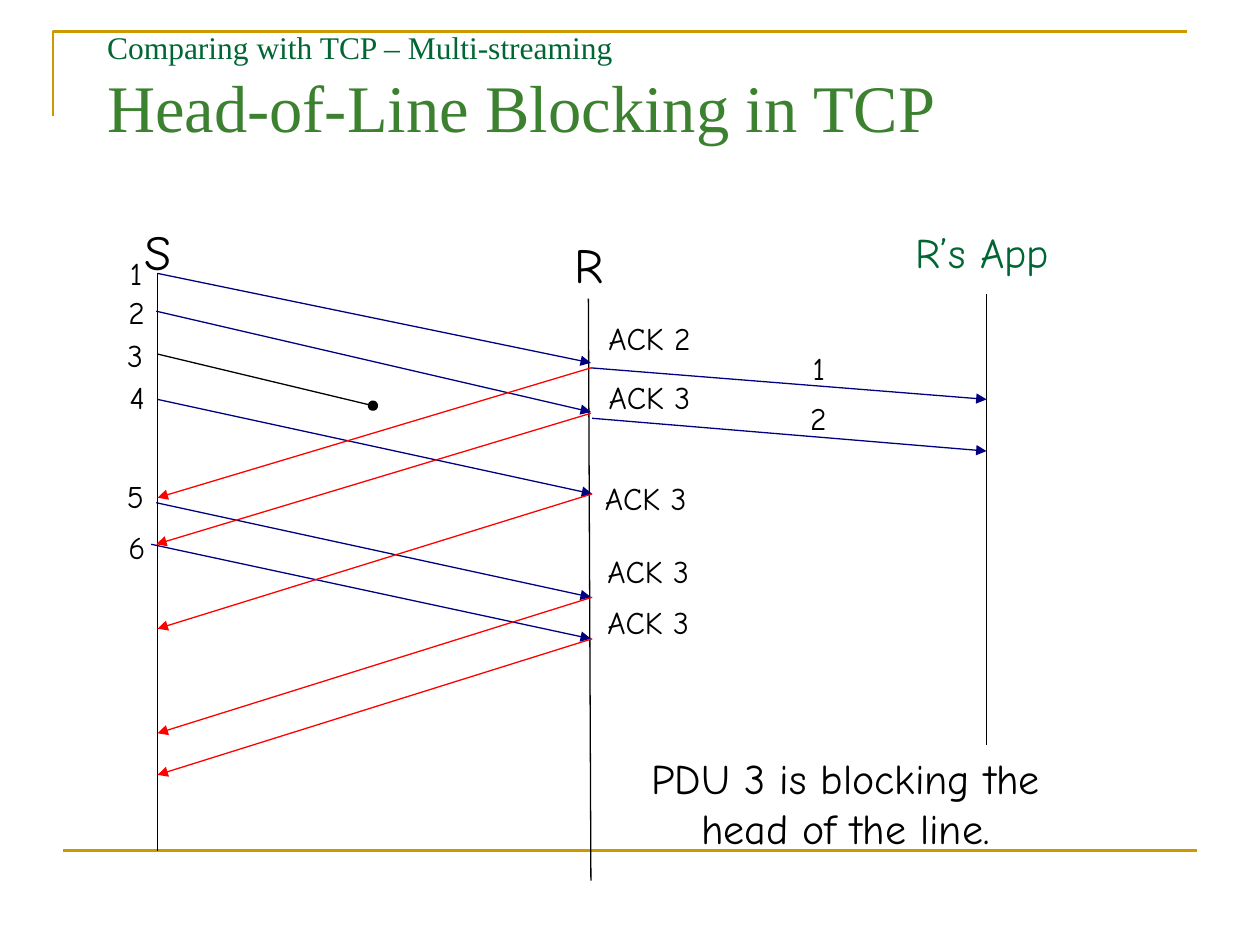
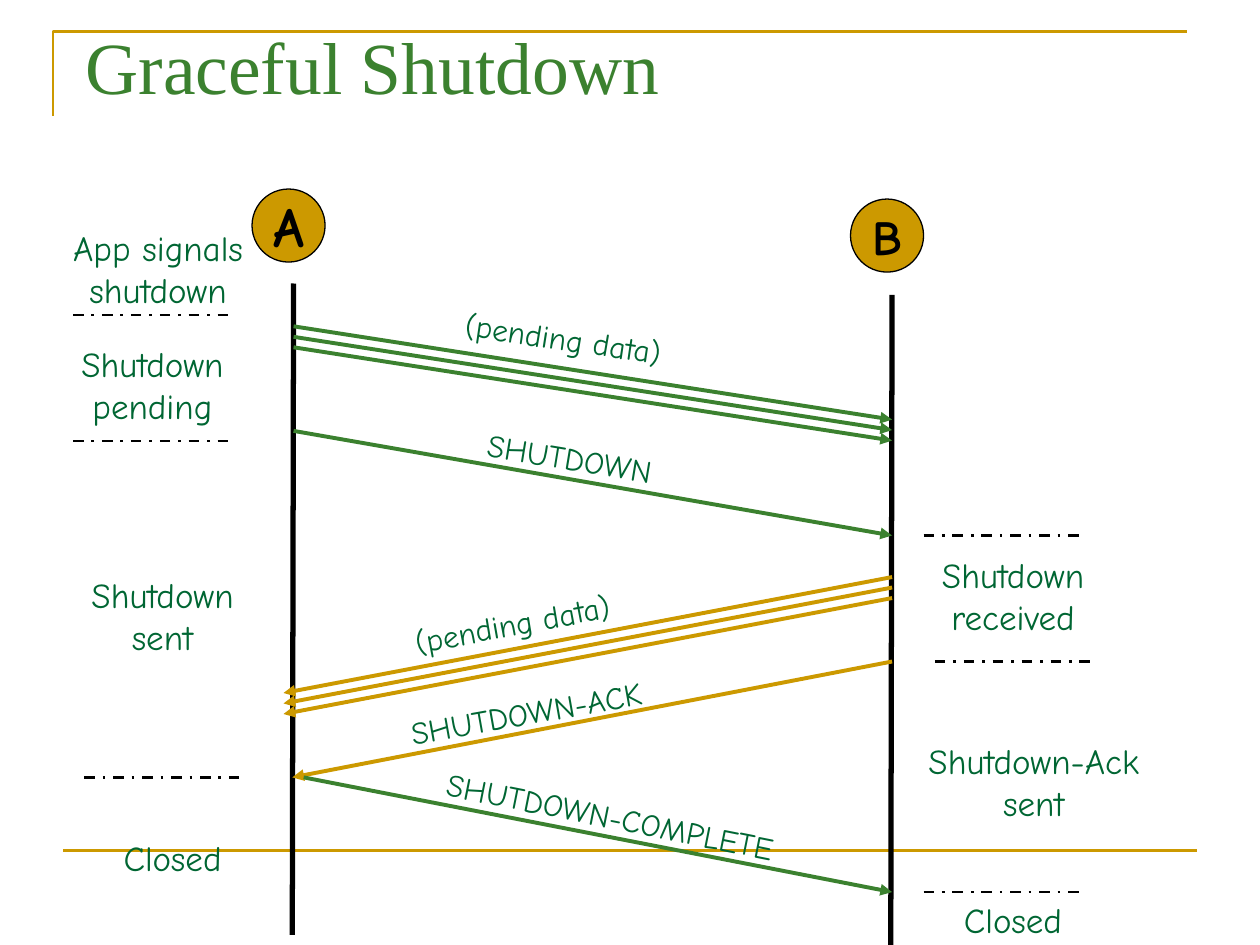
from typing import Any, NamedTuple, Optional

import pptx
import pptx.dml.color
import pptx.enum.dml
import pptx.enum.shapes
import pptx.enum.text
import pptx.oxml
import pptx.oxml.ns
import pptx.util

Inches = pptx.util.Inches
Pt = pptx.util.Pt
RGBColor = pptx.dml.color.RGBColor
Align = pptx.enum.text.PP_ALIGN
Anchor = pptx.enum.text.MSO_ANCHOR
AutoSize = pptx.enum.text.MSO_AUTO_SIZE

BLACK = RGBColor(0x00, 0x00, 0x00)
GOLD = RGBColor(0xCC, 0x99, 0x00)
DARK_GREEN = RGBColor(0x00, 0x66, 0x33)
GREEN = RGBColor(0x3B, 0x81, 0x2F)
NAVY = RGBColor(0x00, 0x00, 0x80)
RED = RGBColor(0xFF, 0x00, 0x00)

TITLE_FONT = "Times New Roman"
LABEL_FONT = "Comic Neue"
TITLE_SIZE = 42
PENDING_STEP = 1 / 12


class Line(NamedTuple):
    start: tuple[float, float]
    end: tuple[float, float]
    color: RGBColor = BLACK
    weight: float = 0.75
    tail: Optional[str] = None
    dashed: bool = False


class Label(NamedTuple):
    text: str
    left: float
    top: float
    width: float
    height: float = 0.4
    size: float = 18
    color: RGBColor = BLACK
    align: Align = Align.CENTER
    wrap: bool = False
    space_before: float = 0
    rotation: float = 0


class Node(NamedTuple):
    text: str
    left: float
    top: float
    size: float


class TitleSpan(NamedTuple):
    text: str
    size: float
    color: RGBColor


def apply_format(target: Any, values: dict[str, Any]) -> None:
    for name, value in values.items():
        setattr(target, name, value)


def format_span(span: Any, font: str, size: float, color: RGBColor, bold: bool = False) -> None:
    apply_format(span.font, {"name": font, "size": Pt(size), "bold": bold})
    span.font.color.rgb = color


def draw_line(page: Any, line: Line) -> None:
    ends = [Inches(value) for value in (*line.start, *line.end)]
    connector = page.shapes.add_connector(pptx.enum.shapes.MSO_CONNECTOR.STRAIGHT, *ends)
    connector.line.color.rgb = line.color
    connector.line.width = Pt(line.weight)
    if line.dashed:
        connector.line.dash_style = pptx.enum.dml.MSO_LINE.DASH_DOT
    if line.tail:
        tail = pptx.oxml.parse_xml(f'<a:tailEnd {pptx.oxml.ns.nsdecls("a")} type="{line.tail}"/>')
        connector.line._get_or_add_ln().append(tail)
    effects = pptx.oxml.parse_xml(f'<a:effectLst {pptx.oxml.ns.nsdecls("a")}/>')
    connector._element.spPr.append(effects)


def draw_label(page: Any, label: Label) -> None:
    box = page.shapes.add_textbox(
        Inches(label.left), Inches(label.top), Inches(label.width), Inches(label.height))
    box.rotation = label.rotation
    apply_format(box.text_frame, {
        "word_wrap": label.wrap, "auto_size": AutoSize.SHAPE_TO_FIT_TEXT})
    para = box.text_frame.paragraphs[0]
    apply_format(para, {"alignment": label.align, "space_before": Pt(label.space_before)})
    span = para.add_run()
    span.text = label.text
    format_span(span, LABEL_FONT, label.size, label.color)


def draw_node(page: Any, node: Node) -> None:
    circle = page.shapes.add_shape(
        pptx.enum.shapes.MSO_SHAPE.OVAL,
        Inches(node.left), Inches(node.top), Inches(0.58), Inches(0.58))
    circle.shadow.inherit = False
    circle.fill.solid()
    circle.fill.fore_color.rgb = GOLD
    circle.line.color.rgb = BLACK
    circle.line.width = Pt(0.75)
    apply_format(circle.text_frame, {"word_wrap": False, "vertical_anchor": Anchor.MIDDLE})
    para = circle.text_frame.paragraphs[0]
    para.alignment = Align.CENTER
    span = para.add_run()
    span.text = node.text
    format_span(span, LABEL_FONT, node.size, BLACK, bold=True)


def draw_all(page: Any, items: list[Any]) -> None:
    painters = {Line: draw_line, Label: draw_label, Node: draw_node}
    for item in items:
        painters[type(item)](page, item)


def draw_frame(page: Any) -> None:
    """Draw the gold corner at the top and the gold rule at the bottom."""
    builder = page.shapes.build_freeform(Inches(0.42), Inches(0.92), scale=1.0)
    builder.add_line_segments(
        [(Inches(0.42), Inches(0.25)), (Inches(9.42), Inches(0.25))], close=False)
    corner = builder.convert_to_shape()
    corner.shadow.inherit = False
    corner.fill.background()
    corner.line.color.rgb = GOLD
    corner.line.width = Pt(1.5)
    draw_line(page, Line((0.5, 6.75), (9.5, 6.75), GOLD, 1.5))


def add_page(deck: Any, left: float, top: float, height: float, anchor: Anchor,
             spans: list[TitleSpan]) -> Any:
    """Add a framed page whose title has one line for each span."""
    page = deck.slides.add_slide(deck.slide_layouts[5])
    draw_frame(page)
    title = page.shapes.title
    apply_format(title, {"left": Inches(left), "top": Inches(top),
                         "width": Inches(8.5), "height": Inches(height)})
    apply_format(title.text_frame, {
        "word_wrap": True, "auto_size": AutoSize.NONE, "vertical_anchor": anchor})
    para = title.text_frame.paragraphs[0]
    para.alignment = Align.LEFT
    for index, item in enumerate(spans):
        if index:
            para.add_line_break()
        span = para.add_run()
        span.text = item.text
        format_span(span, TITLE_FONT, item.size, item.color)
    return page


def build_blocking_page(deck: Any) -> None:
    page = add_page(deck, 0.75, 0.17, 1.25, Anchor.TOP, [
        TitleSpan("Comparing with TCP – Multi-streaming", 18, DARK_GREEN),
        TitleSpan("Head-of-Line Blocking in TCP", 38, GREEN)])
    lifelines = [
        Line((1.25, 2.17), (1.25, 6.75)),
        Line((4.67, 2.37), (4.69, 6.99)),
        Line((7.83, 2.33), (7.83, 5.91))]
    data_ends = [
        ((1.25, 2.17), (4.69, 2.88)), ((1.24, 2.47), (4.69, 3.27)),
        ((1.25, 3.17), (4.7, 3.92)), ((1.24, 3.99), (4.69, 4.74)),
        ((1.2, 4.32), (4.69, 5.07)),
        ((4.69, 2.92), (7.83, 3.17)), ((4.7, 3.32), (7.83, 3.58))]
    ack_ends = [
        ((4.69, 2.92), (1.25, 3.95)), ((4.69, 3.28), (1.24, 4.32)),
        ((4.7, 3.92), (1.25, 4.99)), ((4.7, 4.74), (1.25, 5.82)),
        ((4.7, 5.07), (1.25, 6.15))]
    data = [Line(*ends, NAVY, tail="triangle") for ends in data_ends]
    acks = [Line(*ends, RED, tail="triangle") for ends in ack_ends]
    lost = Line((1.25, 2.81), (2.96, 3.22), tail="oval")
    pdu_places = [(0.93, 1.97, 0.3), (0.92, 2.28, 0.33), (0.91, 2.62, 0.32),
                  (0.93, 2.95, 0.32), (0.91, 3.74, 0.33), (0.92, 4.14, 0.33)]
    pdu_labels = [Label(str(number), *place) for number, place in enumerate(pdu_places, 1)]
    ack_places = [(2, 4.73, 2.48), (3, 4.73, 2.95), (3, 4.7, 3.75),
                  (3, 4.72, 4.33), (3, 4.72, 4.74)]
    ack_labels = [Label(f"ACK {number}", left, top, 0.85) for number, left, top in ack_places]
    other_labels = [
        Label("S", 1.04, 1.71, 0.42, 0.57, 28, wrap=True),
        Label("R", 4.46, 1.81, 0.43, 0.57, 28),
        Label("R’s App", 7.17, 1.75, 1.58, 0.5, 24, DARK_GREEN, Align.LEFT, True, 15),
        Label("1", 6.35, 2.72, 0.3),
        Label("2", 6.33, 3.12, 0.33),
        Label("PDU 3 is blocking the head of the line.", 5, 5.92, 3.42, 0.9, 24, wrap=True)]
    draw_all(page, [*lifelines, *data, *acks, lost, *pdu_labels, *ack_labels, *other_labels])


def message(text: str, left: float, top: float, width: float, rotation: float) -> Label:
    return Label(text, left, top, width, 0.4, 18, DARK_GREEN, Align.LEFT, True, 11.2, rotation)


def state(text: str, left: float, top: float, width: float = 1.58, height: float = 0.77) -> Label:
    return Label(text, left, top, width, height, 20, DARK_GREEN, wrap=True, space_before=12.5)


def build_shutdown_page(deck: Any) -> None:
    page = add_page(deck, 0.58, 0.08, 0.87, Anchor.MIDDLE,
                    [TitleSpan("Graceful Shutdown", TITLE_SIZE, GREEN)])
    lifelines = [
        Line((2.33, 2.25), (2.32, 7.42), weight=3),
        Line((7.08, 2.34), (7.07, 7.5), weight=3)]
    arrow_ends = [
        ((2.33, 3.42), (7.08, 4.25), GREEN),
        ((7.08, 5.25), (2.32, 6.17), GOLD),
        ((2.41, 6.17), (7.08, 7.08), GREEN)]
    for index in range(3):
        shift = index * PENDING_STEP
        arrow_ends += [
            ((2.33, 2.59 + shift), (7.08, 3.33 + shift), GREEN),
            ((7.08, 4.58 + shift), (2.25, 5.5 + shift), GOLD)]
    arrows = [Line(*ends, 2.25, "triangle") for ends in arrow_ends]
    marks = [
        Line((left, top), (left + 1.25, top), weight=1.5, dashed=True)
        for left, top in [(0.58, 2.5), (0.58, 3.5), (0.67, 6.17),
                          (7.33, 4.25), (7.42, 5.25), (7.33, 7.08)]]
    messages = [
        message("(pending data)", 3.58, 2.6, 3.33, 8.4),
        message("SHUTDOWN", 3.76, 3.5, 2.33, 9.4),
        message("(pending data)", 3.17, 4.6, 3.33, 349.1),
        message("SHUTDOWN-ACK", 3.14, 5.35, 3.25, 349.8),
        message("SHUTDOWN-COMPLETE", 3.42, 6.35, 3.58, 11.3)]
    states = [
        state("App signals shutdown", 0.42, 1.75, 1.67),
        state("Shutdown pending", 0.42, 2.67),
        state("Shutdown sent", 0.5, 4.5),
        state("Closed", 0.58, 6.59, height=0.44),
        state("Shutdown received", 7.25, 4.34),
        state("Shutdown-Ack sent", 7.08, 5.82, 2.25),
        state("Closed", 7.25, 7.08, height=0.44)]
    nodes = [Node("A", 2, 1.5, 32), Node("B", 6.75, 1.58, 28)]
    draw_all(page, [*lifelines, *arrows, *marks, *messages, *states, *nodes])


def main() -> None:
    deck = pptx.Presentation()
    apply_format(deck, {"slide_width": Inches(10), "slide_height": Inches(7.5)})
    for style in deck.slide_master.element.xpath("p:txStyles/p:titleStyle/a:lvl1pPr/a:defRPr"):
        style.set("sz", str(TITLE_SIZE * 100))
    build_blocking_page(deck)
    build_shutdown_page(deck)
    deck.save("out.pptx")


if __name__ == "__main__":
    main()
